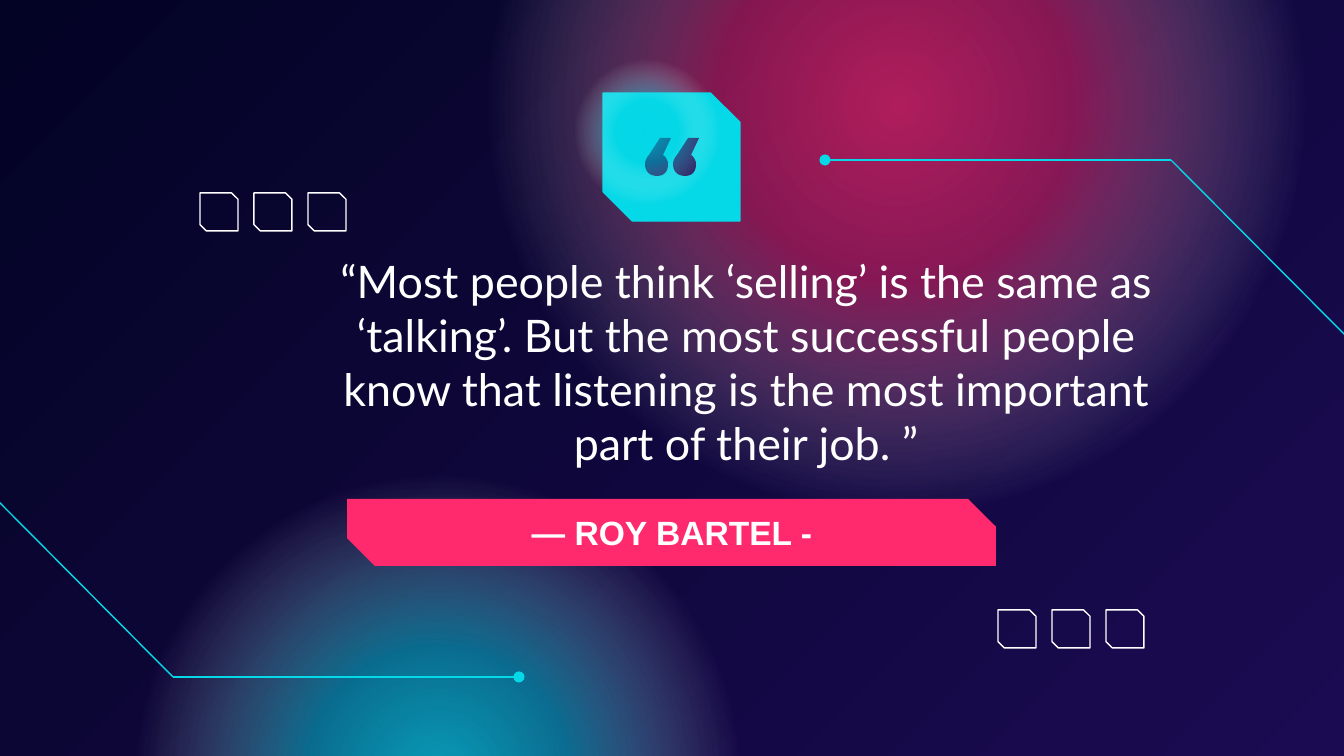
"""Build a quote slide with glowing circles, circuit lines and a name bar."""
from dataclasses import dataclass

from lxml import etree
from pptx import Presentation
from pptx.dml.color import RGBColor
from pptx.enum.shapes import MSO_CONNECTOR, MSO_SHAPE
from pptx.enum.text import MSO_ANCHOR, PP_ALIGN
from pptx.oxml import parse_xml
from pptx.oxml.ns import nsdecls, qn
from pptx.util import Emu, Pt

OVAL = MSO_SHAPE.OVAL
SNIPPED = MSO_SHAPE.SNIP_2_DIAG_RECTANGLE
STRAIGHT = MSO_CONNECTOR.STRAIGHT
CENTER = PP_ALIGN.CENTER
TOP, MIDDLE = MSO_ANCHOR.TOP, MSO_ANCHOR.MIDDLE


@dataclass(frozen=True)
class Theme:
    night: str = "030325"
    indigo: str = "1B0B52"
    pink: str = "FF296D"
    cyan: str = "05D8E7"
    white: str = "FFFFFF"
    name_font: str = "Arial"
    quote_font: str = "Lato"
    name_size: int = 18
    quote_size: int = 24
    line_width: float = 0.75


THEME = Theme()
WIDTH, HEIGHT = 1344, 756
EMU_PER_PX = 9144000 / WIDTH

NAME = "— ROY BARTEL -"
QUOTE = ("“Most people think ‘selling’ is the same as ‘talking’. But the most "
         "successful people know that listening is the most important part of their job. ”")

NAME_BAR = (347, 499, 649, 67)
NAME_BOX = (476, 499, 392, 67)
QUOTE_BOX = (306, 241, 880, 242)
BADGE = (603, 93, 137, 128)
PINK_GLOW = (476, -316, 840)
CYAN_GLOW = (128, 468, 618)
BADGE_GLOW = (573, 58, 148)
CIRCUITS = [
    [(1348, 338), (1171, 160), (825, 160)],
    [(-4, 499), (173, 677), (519, 677)],
]
SQUARE_ROWS = [(200, 193), (998, 610)]
SQUARE_COUNT, SQUARE_SIZE, SQUARE_STEP = 3, 38, 54

MARK_ORIGIN = (645, 138)
MARK_STEP = 28
MARK_START, MARK_NECK, MARK_END = (15, 0), (4, 17), (26, 0)
MARK_CURVES = [
    [(2, 19), (0, 23), (0, 26)],
    [(0, 34), (5, 38), (12, 38)],
    [(19, 38), (23, 34), (23, 26)],
    [(23, 23), (21, 19), (18, 17)],
]
CURVE_STEPS = 8


def px(value):
    return Emu(round(value * EMU_PER_PX))


def rgb(color):
    return RGBColor.from_string(color)


def add_panel(page, kind, bounds, fill=None, line=None, snip=None):
    panel = page.shapes.add_shape(kind, *map(px, bounds))
    panel.shadow.inherit = False
    if snip is not None:
        panel.adjustments[0], panel.adjustments[1] = 0, snip
    if fill:
        panel.fill.solid()
        panel.fill.fore_color.rgb = rgb(fill)
    else:
        panel.fill.background()
    if line:
        panel.line.color.rgb = rgb(line)
        panel.line.width = Pt(THEME.line_width)
    else:
        panel.line.fill.background()
    return panel


def add_glow(page, place, color, center_alpha, ring_alpha):
    left, top, size = place
    glow = add_panel(page, OVAL, (left, top, size, size))
    stops = [(0, color, center_alpha), (30, color, ring_alpha),
             (69, THEME.white, 0), (100, THEME.white, 0)]
    stop_xml = "".join(
        f'<a:gs pos="{position * 1000}"><a:srgbClr val="{tint}">'
        f'<a:alpha val="{alpha * 1000}"/></a:srgbClr></a:gs>'
        for position, tint, alpha in stops)
    gradient = parse_xml(
        f'<a:gradFill {nsdecls("a")}><a:gsLst>{stop_xml}</a:gsLst><a:path path="circle">'
        '<a:fillToRect l="50000" t="50000" r="50000" b="50000"/></a:path></a:gradFill>')
    properties = glow._element.spPr
    properties.replace(properties.find(qn("a:noFill")), gradient)


def add_circuit(page, points):
    for start, end in zip(points, points[1:]):
        wire = page.shapes.add_connector(STRAIGHT, *map(px, start + end))
        wire.line.color.rgb = rgb(THEME.cyan)
        wire.line.width = Pt(THEME.line_width)
        if end == points[-1]:
            etree.SubElement(wire.line._get_or_add_ln(), qn("a:tailEnd"), type="oval")
        etree.SubElement(wire._element.spPr, qn("a:effectLst"))


def curve_points(start, first, second, end):
    for step in range(1, CURVE_STEPS + 1):
        t = step / CURVE_STEPS
        weights = ((1 - t) ** 3, 3 * t * (1 - t) ** 2, 3 * t * t * (1 - t), t ** 3)
        yield tuple(sum(weight * point[axis] for weight, point
                        in zip(weights, (start, first, second, end))) for axis in (0, 1))


def add_quote_mark(page):
    outline = [MARK_START, MARK_NECK]
    for curve in MARK_CURVES:
        outline.extend(curve_points(outline[-1], *curve))
    outline.append(MARK_END)
    left, top = MARK_ORIGIN
    first, second = [[(px(left + shift + x), px(top + y)) for x, y in outline]
                     for shift in (0, MARK_STEP)]
    builder = page.shapes.build_freeform(*first[0])
    builder.add_line_segments(first[1:], close=True)
    builder.move_to(*second[0])
    builder.add_line_segments(second[1:], close=True)
    mark = builder.convert_to_shape()
    mark.shadow.inherit = False
    mark.fill.solid()
    mark.fill.fore_color.rgb = rgb(THEME.indigo)
    mark.line.fill.background()


def write_text(box, bounds, text, font_name, size, anchor, bold=False):
    box.left, box.top, box.width, box.height = map(px, bounds)
    frame = box.text_frame
    frame.word_wrap = True
    frame.vertical_anchor = anchor
    frame.margin_left = frame.margin_right = px(13)
    frame.margin_top = frame.margin_bottom = px(13)
    frame.text = text
    para = frame.paragraphs[0]
    para.alignment = CENTER
    para.font.name = font_name
    para.font.size = Pt(size)
    para.font.bold = bold
    para.font.color.rgb = rgb(THEME.white)


def paint_background(page):
    fill = page.background.fill
    fill.gradient()
    fill.gradient_angle = 315
    for stop, color, position in zip(fill.gradient_stops, (THEME.night, THEME.indigo), (0, 1)):
        stop.color.rgb = rgb(color)
        stop.position = position


def main():
    deck = Presentation()
    deck.slide_width, deck.slide_height = px(WIDTH), px(HEIGHT)
    page = deck.slides.add_slide(deck.slide_layouts[5])
    paint_background(page)

    add_glow(page, PINK_GLOW, THEME.pink, 67, 49)
    add_glow(page, CYAN_GLOW, THEME.cyan, 71, 48)
    for points in CIRCUITS:
        add_circuit(page, points)

    add_panel(page, SNIPPED, NAME_BAR, fill=THEME.pink, snip=0.415)
    title = page.shapes.title
    page.shapes._spTree.append(title._element)
    write_text(title, NAME_BOX, NAME, THEME.name_font, THEME.name_size, MIDDLE, bold=True)
    quote = page.shapes.add_textbox(*map(px, QUOTE_BOX))
    write_text(quote, QUOTE_BOX, QUOTE, THEME.quote_font, THEME.quote_size, TOP)

    add_panel(page, SNIPPED, BADGE, fill=THEME.cyan, line=THEME.cyan, snip=0.23)
    add_quote_mark(page)
    add_glow(page, BADGE_GLOW, THEME.cyan, 71, 48)

    for left, top in SQUARE_ROWS:
        for index in range(SQUARE_COUNT):
            bounds = (left + index * SQUARE_STEP, top, SQUARE_SIZE, SQUARE_SIZE)
            add_panel(page, SNIPPED, bounds, line=THEME.white, snip=0.167)

    deck.save("out.pptx")


if __name__ == "__main__":
    main()
